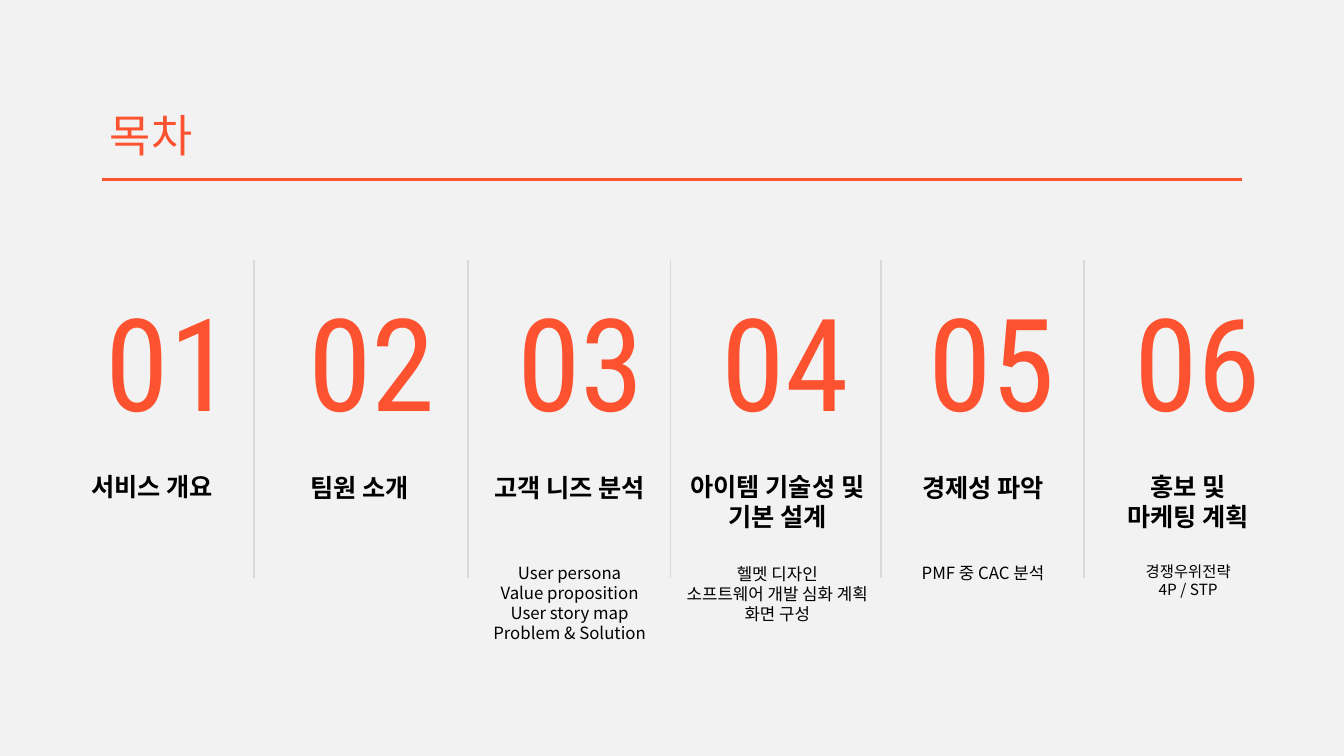
from lxml import etree
from pptx import Presentation
from pptx.dml.color import RGBColor
from pptx.enum.shapes import MSO_CONNECTOR
from pptx.enum.text import MSO_ANCHOR, PP_ALIGN
from pptx.oxml.ns import qn
from pptx.util import Inches, Pt

STRAIGHT = MSO_CONNECTOR.STRAIGHT
TOP = MSO_ANCHOR.TOP
LEFT, CENTER = PP_ALIGN.LEFT, PP_ALIGN.CENTER

COLORS = {"page": "F2F2F2", "accent": "FC522F", "text": "000000", "divider": "D9D9D9"}
KOREAN, NUMERAL = "Noto Sans CJK KR", "Roboto Condensed"

# Number left, label box, heading lines, detail lines, detail size, gap above details
SECTIONS = [
    (0.95, (-0.04, 4.63, 3.1, 0.81), ["서비스 개요"], [], 12, 0),
    (2.96, (2.02, 4.64, 3.1, 0.4), ["팀원 소개"], [], 12, 0),
    (5.03, (4.1, 4.64, 3.1, 2.02), ["고객 니즈 분석"],
     ["User persona", "Value proposition", "User story map", "Problem & Solution"], 12, 43),
    (7.06, (6.16, 4.63, 3.1, 1.83), ["아이템 기술성 및", "기본 설계"],
     ["헬멧 디자인", "소프트웨어 개발 심화 계획", "화면 구성"], 12, 23),
    (9.11, (8.2, 4.64, 3.1, 1.25), ["경제성 파악"], ["PMF 중 CAC 분석"], 12, 43),
    (11.15, (10.79, 4.63, 1.99, 1.57), ["홍보 및", "마케팅 계획"],
     ["경쟁우위전략", "4P / STP"], 11, 22),
]
DIVIDERS = [2.52, 4.64, 6.65, 8.74, 10.75]


class ContentsPage:
    def __init__(self, deck):
        self.page = deck.slides.add_slide(deck.slide_layouts[5])
        fill = self.page.background.fill
        fill.solid()
        fill.fore_color.rgb = RGBColor.from_string(COLORS["page"])

    def add_text(self, para, text, color, align=LEFT, spacing=None, before=0, **style):
        layout = {"alignment": align, "line_spacing": spacing, "space_before": Pt(before)}
        for name, value in layout.items():
            setattr(para, name, value)
        span = para.add_run()
        span.text = text
        for name, value in style.items():
            setattr(span.font, name, value)
        span.font.color.rgb = RGBColor.from_string(COLORS[color])
        east_asian = etree.SubElement(span.font._element, qn("a:ea"))
        east_asian.set("typeface", style["name"])

    def title(self, text, place):
        box = self.page.shapes.title
        for name, value in zip(("left", "top", "width", "height"), place):
            setattr(box, name, Inches(value))
        box.text_frame.vertical_anchor = TOP
        self.add_text(box.text_frame.paragraphs[0], text, "accent", spacing=Pt(42),
                      name=KOREAN, size=Pt(32), bold=False)

    def text_box(self, place):
        box = self.page.shapes.add_textbox(*map(Inches, place))
        box.text_frame.word_wrap = True
        return box.text_frame

    def number(self, text, left):
        frame = self.text_box((left, 2.76, 1.77, 3.2))
        self.add_text(frame.paragraphs[0], text, "accent", name=NUMERAL, size=Pt(92))

    def label(self, place, heading, details, detail_size, gap):
        frame = self.text_box(place)
        lines = [(text, 18, True, 0) for text in heading]
        lines += [(text, detail_size, False, 0 if index else gap)
                  for index, text in enumerate(details)]
        for index, (text, size, bold, before) in enumerate(lines):
            para = frame.add_paragraph() if index else frame.paragraphs[0]
            self.add_text(para, text, "text", CENTER, Pt(round(size * 1.19, 1)), before,
                          name=KOREAN, size=Pt(size), bold=bold)

    def line(self, start, end, color, width):
        line = self.page.shapes.add_connector(STRAIGHT, *map(Inches, start + end))
        line.line.color.rgb = RGBColor.from_string(COLORS[color])
        line.line.width = Pt(width)
        etree.SubElement(line._element.spPr, qn("a:effectLst"))


def main():
    deck = Presentation()
    deck.slide_width, deck.slide_height = Inches(13.33), Inches(7.5)
    contents = ContentsPage(deck)

    # Title and rule
    contents.title("목차", (0.99, 0.97, 1.74, 0.64))
    contents.line((1.01, 1.78), (12.32, 1.78), "accent", 2.25)

    # Numbered sections
    for order, (left, *label) in enumerate(SECTIONS, 1):
        contents.number(f"{order:02d}", left)
        contents.label(*label)

    # Column dividers
    for left in DIVIDERS:
        contents.line((left, 2.58), (left, 5.73), "divider", 1)

    deck.save("out.pptx")


if __name__ == "__main__":
    main()
